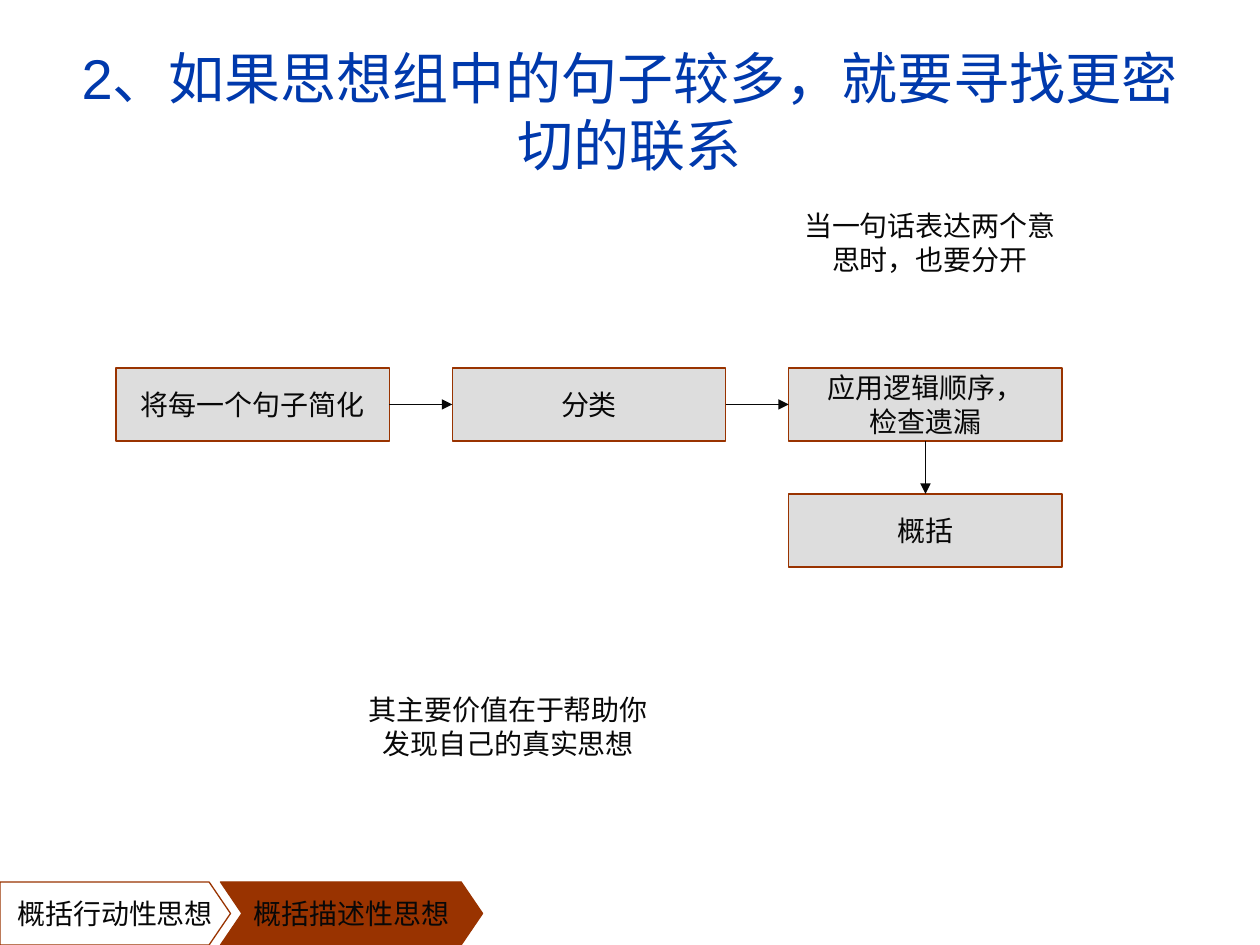
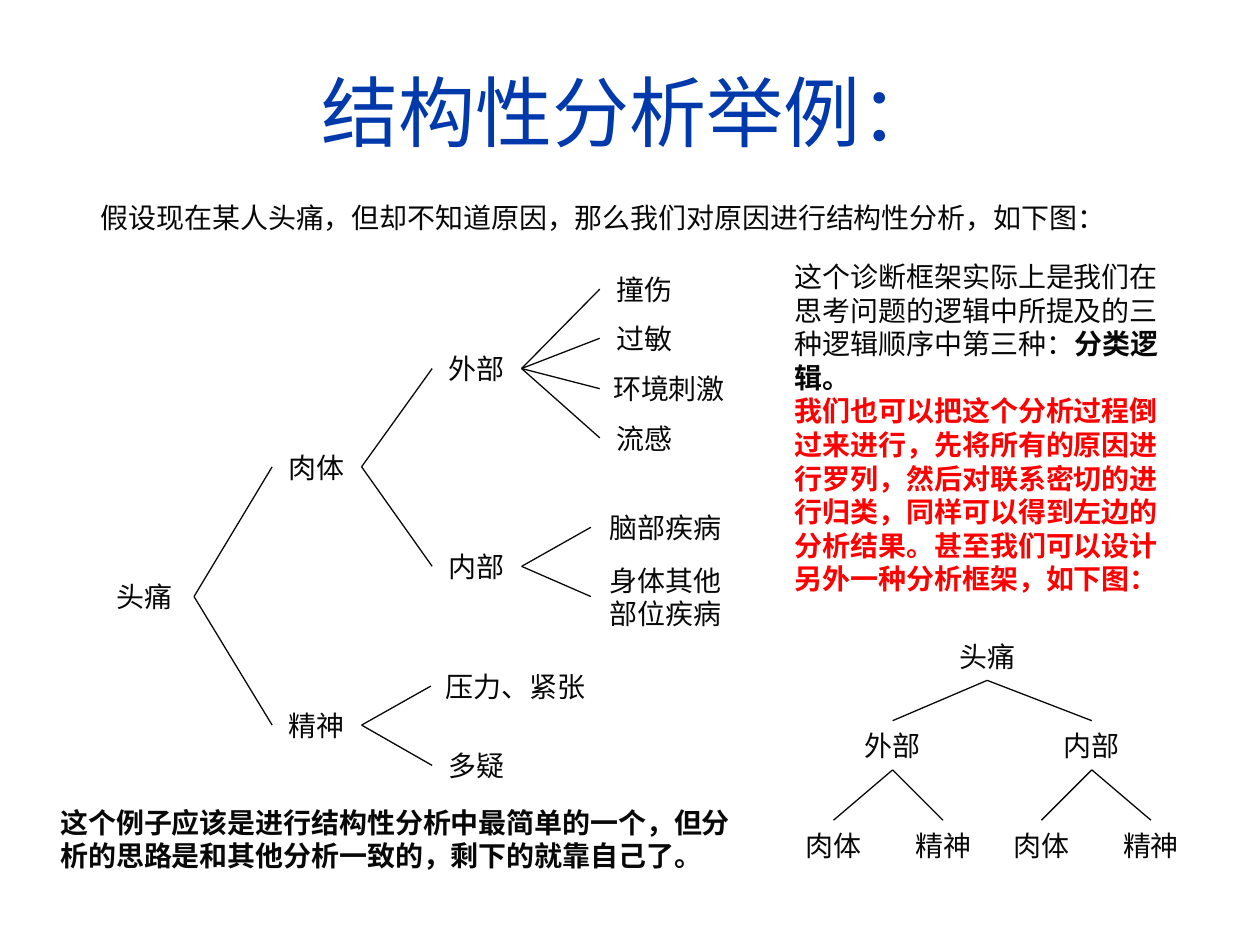
"""Builds two slides on grouping ideas and structural analysis."""
from dataclasses import dataclass

from lxml.etree import SubElement
from pptx import Presentation
from pptx.dml.color import RGBColor
from pptx.enum.shapes import MSO_CONNECTOR, MSO_SHAPE
from pptx.enum.text import MSO_ANCHOR, PP_ALIGN
from pptx.oxml.ns import qn
from pptx.util import Inches, Pt


@dataclass(frozen=True)
class Theme:
    title: RGBColor = RGBColor(0x00, 0x39, 0xAC)
    ink: RGBColor = RGBColor(0x08, 0x08, 0x08)
    accent: RGBColor = RGBColor(0x99, 0x33, 0x00)
    box: RGBColor = RGBColor(0xDD, 0xDD, 0xDD)
    alert: RGBColor = RGBColor(0xFF, 0x00, 0x00)
    title_font: str = "Arial"
    flow_font: str = "Times New Roman"
    tree_font: str = "Karla"
    body: int = 16
    line: float = 0.75


T = Theme()


def write(sp, paras, font, size=T.body, color=T.ink, center=True, wrap=True, pad=(0.1, 0.05)):
    tf = sp.text_frame
    tf.word_wrap = wrap
    tf.vertical_anchor = MSO_ANCHOR.MIDDLE if center else MSO_ANCHOR.TOP
    tf.margin_left = tf.margin_right = Inches(pad[0])
    tf.margin_top = tf.margin_bottom = Inches(pad[1])
    for i, runs in enumerate(paras):
        p = tf.add_paragraph() if i else tf.paragraphs[0]
        p.alignment = PP_ALIGN.CENTER if center else PP_ALIGN.LEFT
        for text, bold, tint in runs:
            r = p.add_run()
            r.text = text
            r.font.name, r.font.size, r.font.bold = font, Pt(size), bold
            r.font.color.rgb = tint or color


def link(s, start, end, arrow=False):
    ln = s.shapes.add_connector(MSO_CONNECTOR.STRAIGHT, *map(Inches, start + end))
    ln.line.color.rgb = T.ink
    ln.line.width = Pt(T.line)
    SubElement(ln._element.spPr, qn("a:effectLst"))
    if arrow:
        SubElement(ln.line._get_or_add_ln(), qn("a:tailEnd"), type="triangle")


prs = Presentation()
prs.slide_width, prs.slide_height = Inches(10), Inches(7.5)

slides = []
for title, size in [("2、如果思想组中的句子较多，就要寻找更密切的联系", 32), ("结构性分析举例：", 44)]:
    s = prs.slides.add_slide(prs.slide_layouts[6])
    tb = s.shapes.add_textbox(*map(Inches, (0.33, 0.25, 9.34, 1.25)))
    write(tb, [[(title, False, None)]], T.title_font, size, T.title)
    slides.append(s)
flow, tree = slides

TIP, NAV_TOP, NAV_MID, NAV_END = 0.17, 7, 7.25, 7.5
for text, left, right, notch in [("概括行动性思想", 0, 1.83, False), ("概括描述性思想", 1.75, 3.83, True)]:
    pts = [(right - TIP, NAV_TOP), (right, NAV_MID), (right - TIP, NAV_END), (left, NAV_END)]
    if notch:
        pts.append((left + TIP, NAV_MID))
    fb = flow.shapes.build_freeform(Inches(left), Inches(NAV_TOP))
    fb.add_line_segments([(Inches(x), Inches(y)) for x, y in pts], close=True)
    sp = fb.convert_to_shape()
    sp.shadow.inherit = False
    if notch:
        sp.fill.solid()
        sp.fill.fore_color.rgb = T.accent
    else:
        sp.fill.background()
    sp.line.color.rgb = T.accent
    sp.line.width = Pt(T.line)
    write(sp, [[(text, False, None)]], T.flow_font, wrap=False)

STEP_W, STEP_H, STEP_TOP, STEP_PITCH = 2.17, 0.58, 2.92, 2.67
cols = [0.92 + i * STEP_PITCH for i in range(3)]
steps = [
    (["将每一个句子简化"], cols[0], STEP_TOP),
    (["分类"], cols[1], STEP_TOP),
    (["应用逻辑顺序，", "检查遗漏"], cols[2], STEP_TOP),
    (["概括"], cols[2], STEP_TOP + 1),
]
for lines, x, y in steps:
    sp = flow.shapes.add_shape(MSO_SHAPE.RECTANGLE, *map(Inches, (x, y, STEP_W, STEP_H)))
    sp.shadow.inherit = False
    sp.fill.solid()
    sp.fill.fore_color.rgb = T.box
    sp.line.color.rgb = T.accent
    sp.line.width = Pt(T.line)
    write(sp, [[(line, False, None)] for line in lines], T.flow_font, wrap=False)

row_mid = STEP_TOP + STEP_H / 2
for x, nxt in zip(cols, cols[1:]):
    link(flow, (x + STEP_W, row_mid), (nxt, row_mid), arrow=True)
last_mid = cols[2] + STEP_W / 2
link(flow, (last_mid, STEP_TOP + STEP_H), (last_mid, STEP_TOP + 1), arrow=True)

for text, box in [
    ("当一句话表达两个意思时，也要分开", (6.26, 1.59, 2.24, 0.67)),
    ("其主要价值在于帮助你发现自己的真实思想", (2.75, 5.43, 2.57, 0.67)),
]:
    tb = flow.shapes.add_textbox(*map(Inches, box))
    write(tb, [[(text, False, None)]], T.flow_font)

NODE_W, NODE_H, PAD = 0.71, 0.39, (0.05, 0.04)
causes = [
    ("头痛", 0.75, 4.54, 0.79, NODE_H, None),
    ("肉体", 2.16, 3.51, NODE_W, NODE_H, 0),
    ("精神", 2.16, 5.56, NODE_W, NODE_H, 0),
    ("外部", 3.43, 2.73, NODE_W, NODE_H, 1),
    ("内部", 3.43, 4.3, NODE_W, NODE_H, 1),
    ("压力、紧张", 3.42, 5.25, 1.34, NODE_H, 2),
    ("多疑", 3.43, 5.88, NODE_W, NODE_H, 2),
    ("撞伤", 4.76, 2.1, NODE_W, NODE_H, 3),
    ("过敏", 4.76, 2.49, NODE_W, NODE_H, 3),
    ("环境刺激", 4.76, 2.89, 1.1, NODE_H, 3),
    ("流感", 4.76, 3.28, NODE_W, NODE_H, 3),
    ("脑部疾病", 4.69, 3.99, 1.18, NODE_H, 4),
    ("身体其他部位疾病", 4.69, 4.46, 1.18, 0.55, 4),
]
regrouped = [
    ("头痛", 7.44, 5.01, 0.79, NODE_H, None),
    ("外部", 6.73, 5.72, NODE_W, NODE_H, 0),
    ("内部", 8.31, 5.72, NODE_W, NODE_H, 0),
    ("肉体", 6.26, 6.51, NODE_W, NODE_H, 1),
    ("精神", 7.13, 6.51, NODE_W, NODE_H, 1),
    ("肉体", 7.91, 6.51, NODE_W, NODE_H, 2),
    ("精神", 8.78, 6.51, NODE_W, NODE_H, 2),
]
for nodes, sideways in [(causes, True), (regrouped, False)]:
    for text, x, y, w, h, parent in nodes:
        tb = tree.shapes.add_textbox(*map(Inches, (x, y, w, h)))
        write(tb, [[(text, False, None)]], T.tree_font, pad=PAD)
        if parent is None:
            continue
        px, py, pw, ph = nodes[parent][1:5]
        if sideways:
            link(tree, (px + pw, py + ph / 2), (x, y + h / 2))
        else:
            link(tree, (px + pw / 2, py + ph), (x + w / 2, y))

intro = [[("假设现在某人头痛，但却不知道原因，那么我们对原因进行结构性分析，如下图：", False, None)]]
comment = [
    [
        ("这个诊断框架实际上是我们在思考问题的逻辑中所提及的三种逻辑顺序中第三种：", False, None),
        ("分类逻辑。", True, None),
    ],
    [(
        "我们也可以把这个分析过程倒过来进行，先将所有的原因进行罗列，然后对联系密切的进行归类，"
        "同样可以得到左边的分析结果。甚至我们可以设计另外一种分析框架，如下图：", True, T.alert,
    )],
]
closing = [[("这个例子应该是进行结构性分析中最简单的一个，但分析的思路是和其他分析一致的，剩下的就靠自己了。", True, None)]]
for paras, box in [
    (intro, (0.75, 1.55, 8.82, 0.39)),
    (comment, (6.26, 2.02, 3.07, 2.76)),
    (closing, (0.43, 6.35, 5.43, 0.63)),
]:
    tb = tree.shapes.add_textbox(*map(Inches, box))
    write(tb, paras, T.tree_font, center=False, pad=PAD)

prs.save("out.pptx")
